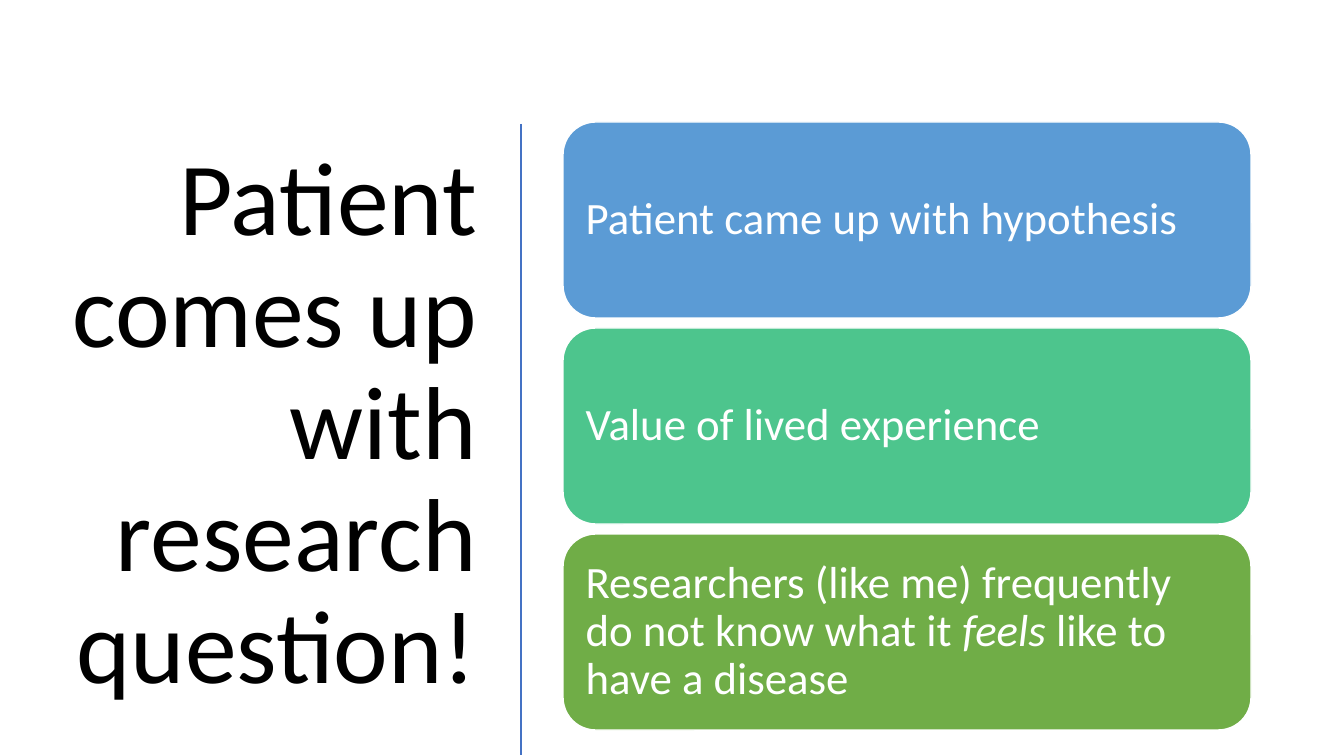
from pptx import Presentation
from pptx.dml.color import RGBColor
from pptx.enum.shapes import MSO_CONNECTOR, MSO_SHAPE
from pptx.enum.text import MSO_ANCHOR, PP_ALIGN
from pptx.oxml.ns import qn
from pptx.util import Pt
from lxml import etree

PX = 914400 / 100.8  # EMU per pixel
FONT = "Calibri"
BLACK = RGBColor(0x00, 0x00, 0x00)
WHITE = RGBColor(0xFF, 0xFF, 0xFF)
DIVIDER_BLUE = RGBColor(0x44, 0x72, 0xC4)
BLUE = RGBColor(0x5B, 0x9B, 0xD5)
TEAL = RGBColor(0x4D, 0xC5, 0x8D)
GREEN = RGBColor(0x70, 0xAD, 0x47)

TITLE = "Patient comes up with research question!"
# Each point: fill colour and (text, italic) runs
POINTS = [
    (BLUE, [("Patient came up with hypothesis", False)]),
    (TEAL, [("Value of lived experience", False)]),
    (GREEN, [("Researchers (like me) frequently do not know what it ", False),
             ("feels", True),
             (" like to have a disease", False)]),
]


def px(length):
    return round(length * PX)


def write(shape, runs, size, color, align, inset_x, inset_y):
    frame = shape.text_frame
    frame.word_wrap = True
    frame.vertical_anchor = MSO_ANCHOR.MIDDLE
    frame.margin_left = frame.margin_right = px(inset_x)
    frame.margin_top = frame.margin_bottom = px(inset_y)
    paragraph = frame.paragraphs[0]
    paragraph.alignment = align
    paragraph.line_spacing = 0.9
    font = paragraph.font
    font.name, font.size, font.color.rgb = FONT, Pt(size), color
    for text, italic in runs:
        run = paragraph.add_run()
        run.text = text
        if italic:
            run.font.italic = True


def add_title(slide, left, top, width, height):
    title = slide.shapes.add_textbox(px(left), px(top), px(width), px(height))
    write(title, [(TITLE, False)], 74, BLACK, PP_ALIGN.RIGHT, 10, 5)


def add_divider(slide, x, top, bottom):
    divider = slide.shapes.add_connector(
        MSO_CONNECTOR.STRAIGHT, px(x), px(top), px(x), px(bottom))
    divider.line.color.rgb = DIVIDER_BLUE
    divider.line.width = Pt(2)
    etree.SubElement(divider._element.spPr, qn("a:effectLst"))


def add_points(slide, left, top, width, height, gap=10):
    card_height = (height - gap * (len(POINTS) - 1)) / len(POINTS)
    for row, (color, runs) in enumerate(POINTS):
        card = slide.shapes.add_shape(
            MSO_SHAPE.ROUNDED_RECTANGLE, px(left),
            px(top + row * (card_height + gap)), px(width), px(card_height))
        card.shadow.inherit = False
        card.fill.solid()
        card.fill.fore_color.rgb = color
        card.line.color.rgb = WHITE
        card.line.width = Pt(1)
        write(card, runs, 32, WHITE, PP_ALIGN.LEFT, 13, 13)


def main():
    deck = Presentation()
    deck.slide_width, deck.slide_height = px(1344), px(756)
    slide = deck.slides.add_slide(deck.slide_layouts[6])
    add_title(slide, 52, 118, 435, 616)
    add_divider(slide, 521, 124, 755)
    add_points(slide, 563, 122, 688, 608)
    deck.save("out.pptx")


if __name__ == "__main__":
    main()
